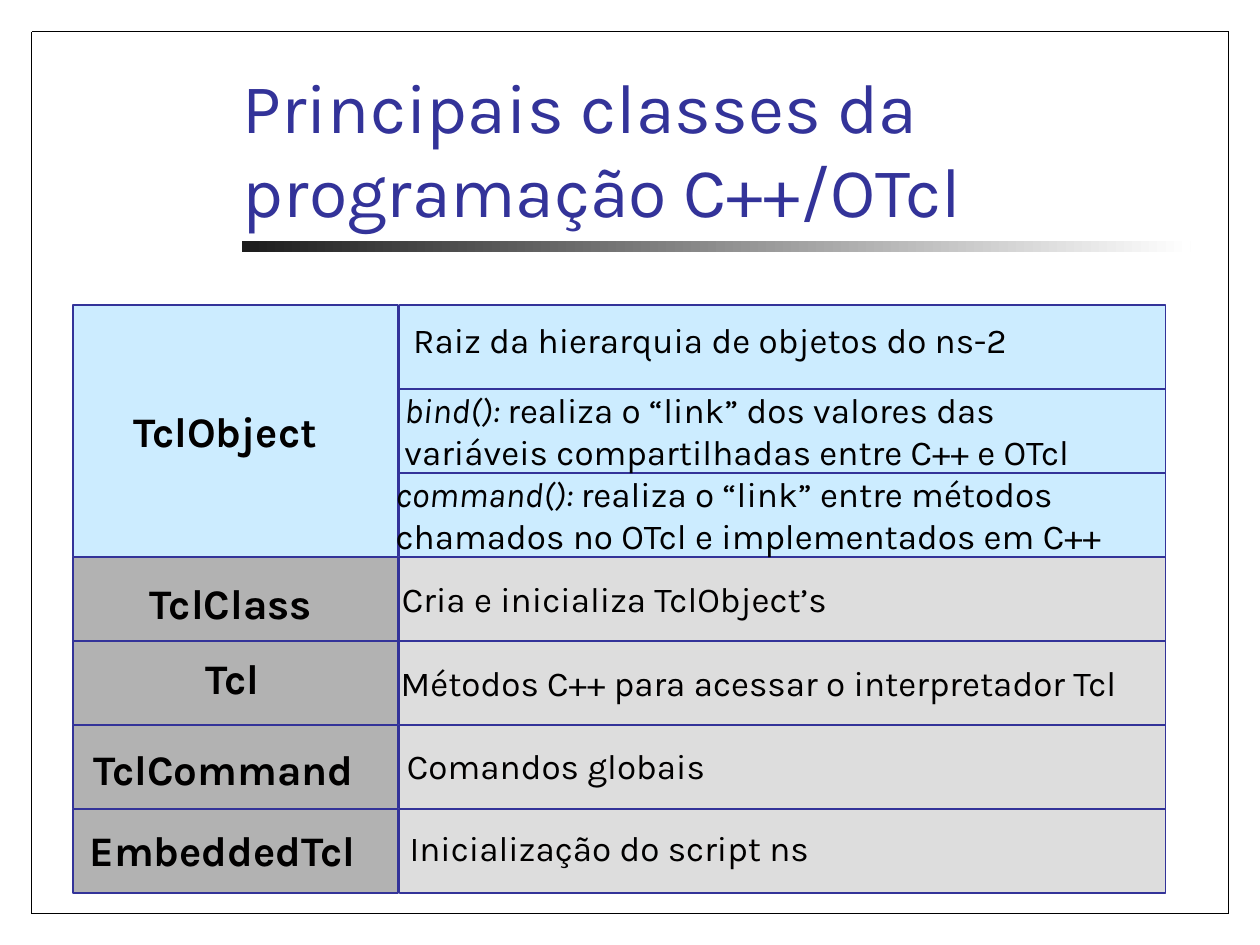
from lxml import etree
from pptx import Presentation, util as u
from pptx.dml.color import RGBColor
from pptx.enum import shapes, text
from pptx.oxml.ns import qn

FONT = "Karla"
HUES = {"title": "333399", "rule": "333399", "frame": "000000", "ink": "010000",
        "dark": "1C1C1C", "white": "FFFFFF", "blue": "CCECFF",
        "gray": "B2B2B2", "pale": "DDDDDD"}

TITLE = "Principais classes da programação C++/OTcl"

# Class name, (left, top, width) of its text, name fill, note fill, notes.
# Each note: (left, top, width) of its text, then lines of (words, italic) runs.
CLASSES = [
    ("TclObject", (1.06, 3.22, 1.56), "blue", "blue", [
        ((3.28, 2.53, 5.9), [[("Raiz da hierarquia de objetos do ns-2", False)]]),
        ((3.21, 3.08, 5.55), [
            [("bind(): ", True), ("realiza o “link” dos valores das", False)],
            [("variáveis compartilhadas entre C++ e OTcl", False)]]),
        ((3.14, 3.75, 5.9), [
            [("command(): ", True), ("realiza o “link” entre métodos", False)],
            [("chamados no OTcl e implementados em C++", False)]])]),
    ("TclClass", (1.19, 4.58, 1.31), "gray", "pale", [
        ((3.19, 4.58, 3.4), [[("Cria e inicializa TclObject’s", False)]])]),
    ("Tcl", (1.63, 5.18, 0.47), "gray", "pale", [
        ((3.18, 5.25, 5.96), [[("Métodos C++ para acessar o interpretador Tcl", False)]])]),
    ("TclCommand", (0.74, 5.9, 2.17), "gray", "pale", [
        ((3.23, 5.91, 2.42), [[("Comandos globais", False)]])]),
    ("EmbeddedTcl", (0.71, 6.54, 2.22), "gray", "pale", [
        ((3.25, 6.56, 3.18), [[("Inicialização do script ns", False)]])]),
]

LEFT, TOP, ROW = 0.58, 2.42, 2 / 3
NAME_W, NOTE_W = 2.58, 6.08
NOTE_X = 3.17

prs = Presentation()
prs.slide_width, prs.slide_height = u.Inches(10), u.Inches(7.5)
slide = prs.slides.add_slide(prs.slide_layouts[6])


def hue(name):
    return RGBColor.from_string(HUES[name])


def rect(x, y, w, h):
    box = slide.shapes.add_shape(shapes.MSO_SHAPE.RECTANGLE,
                                 *map(u.Inches, (x, y, w, h)))
    box.shadow.inherit = False
    return box


def cell(x, y, w, h, fill):
    box = rect(x, y, w, h)
    box.fill.solid()
    box.fill.fore_color.rgb = hue(fill)
    box.line.color.rgb = hue("rule")
    box.line.width = u.Pt(0.75)


def write(x, y, w, h, lines, size, color="ink", bold=False, wrap=False):
    box = slide.shapes.add_textbox(*map(u.Inches, (x, y, w, h)))
    frame = box.text_frame
    frame.word_wrap = wrap
    frame.margin_left = frame.margin_right = 0
    frame.margin_top = frame.margin_bottom = 0
    for i, line in enumerate(lines):
        para = frame.paragraphs[0] if i == 0 else frame.add_paragraph()
        for words, slant in line:
            run = para.add_run()
            run.text = words
            font = run.font
            font.name, font.size = FONT, u.Pt(size)
            font.bold, font.italic = bold, slant
            font.color.rgb = hue(color)
    return frame


# Fading bar under the title
bar = rect(1.92, 1.91, 7.53, 0.09)
bar.line.fill.background()
bar.fill.gradient()
bar.fill.gradient_angle = 0
for stop, name in zip(bar.fill.gradient_stops, ("dark", "white")):
    stop.color.rgb = hue(name)

# Page frame
near, right, low = 0.25, 9.75, 7.25
corners = [(near, near), (right, near), (right, low), (near, low)]
for start, end in zip(corners, corners[1:] + corners[:1]):
    edge = slide.shapes.add_connector(shapes.MSO_CONNECTOR.STRAIGHT,
                                      *map(u.Inches, start + end))
    edge.line.color.rgb = hue("frame")
    edge.line.width = u.Pt(0.75)
    etree.SubElement(edge._element.spPr, qn("a:effectLst"))

# Title
head = write(1.83, 0.64, 7.58, 1.25, [[(TITLE, False)]], 40, "title", wrap=True)
head.margin_left = head.margin_right = u.Inches(0.1)
head.margin_top = head.margin_bottom = u.Inches(0.05)
head.vertical_anchor = text.MSO_ANCHOR.BOTTOM

# Grid: a name spans as many rows as it has notes
row = 0
for _, _, fill, tint, notes in CLASSES:
    y = TOP + row * ROW
    cell(LEFT, y, NAME_W, len(notes) * ROW, fill)
    for i in range(len(notes)):
        cell(NOTE_X, y + i * ROW, NOTE_W, ROW, tint)
    row += len(notes)

# Words, each in its own place over the grid
for name, (x, y, w), _, _, notes in CLASSES:
    write(x, y, w, 0.4, [[(name, False)]], 24, bold=True)
    for (x, y, w), lines in notes:
        # Notes that fill the row's width wrap from the left
        write(x, y, w, len(lines) * ROW / 2, lines, 20, wrap=y < 3)

prs.save("out.pptx")
